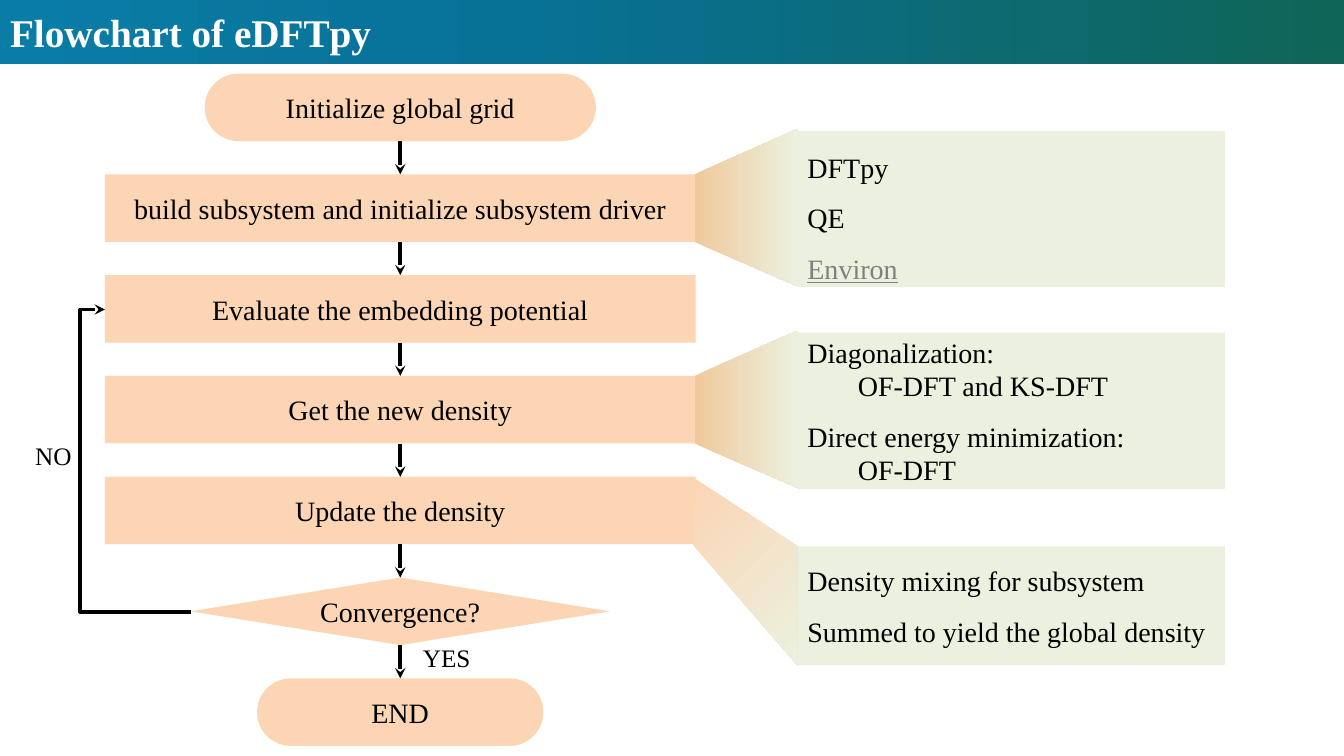
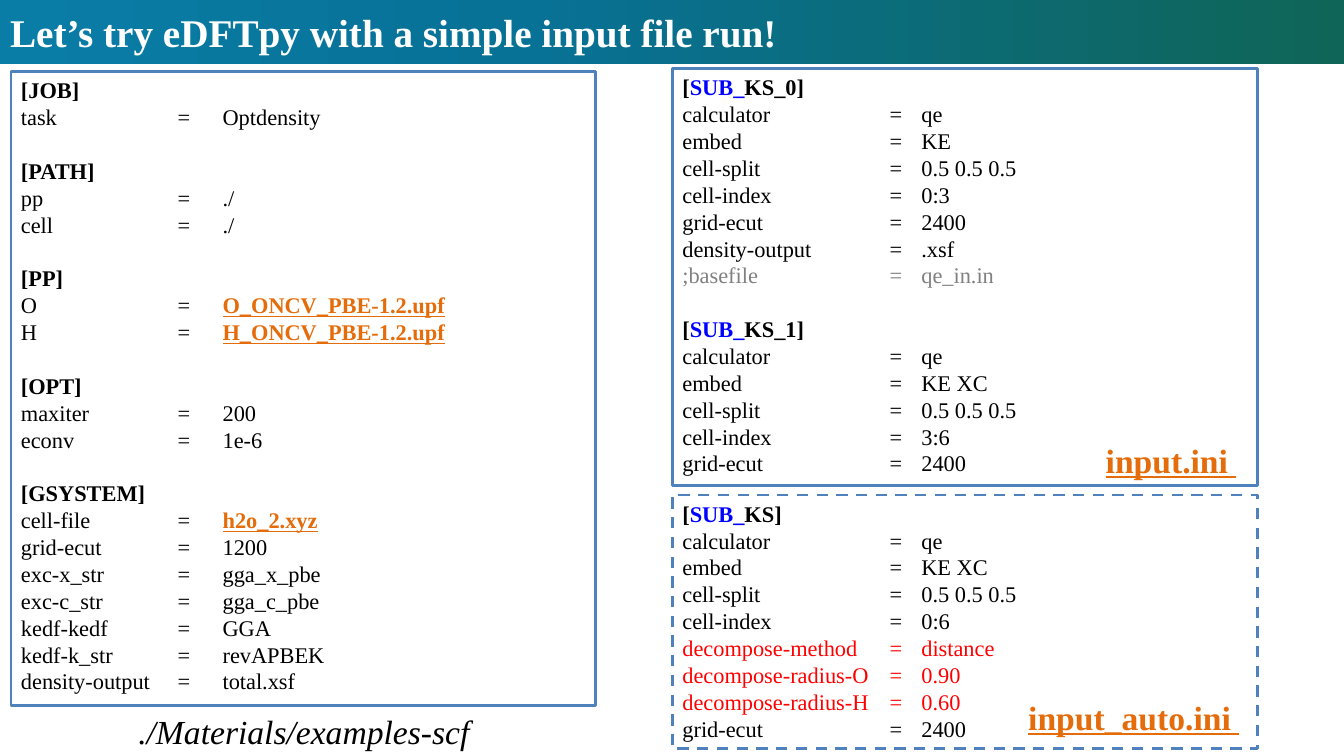
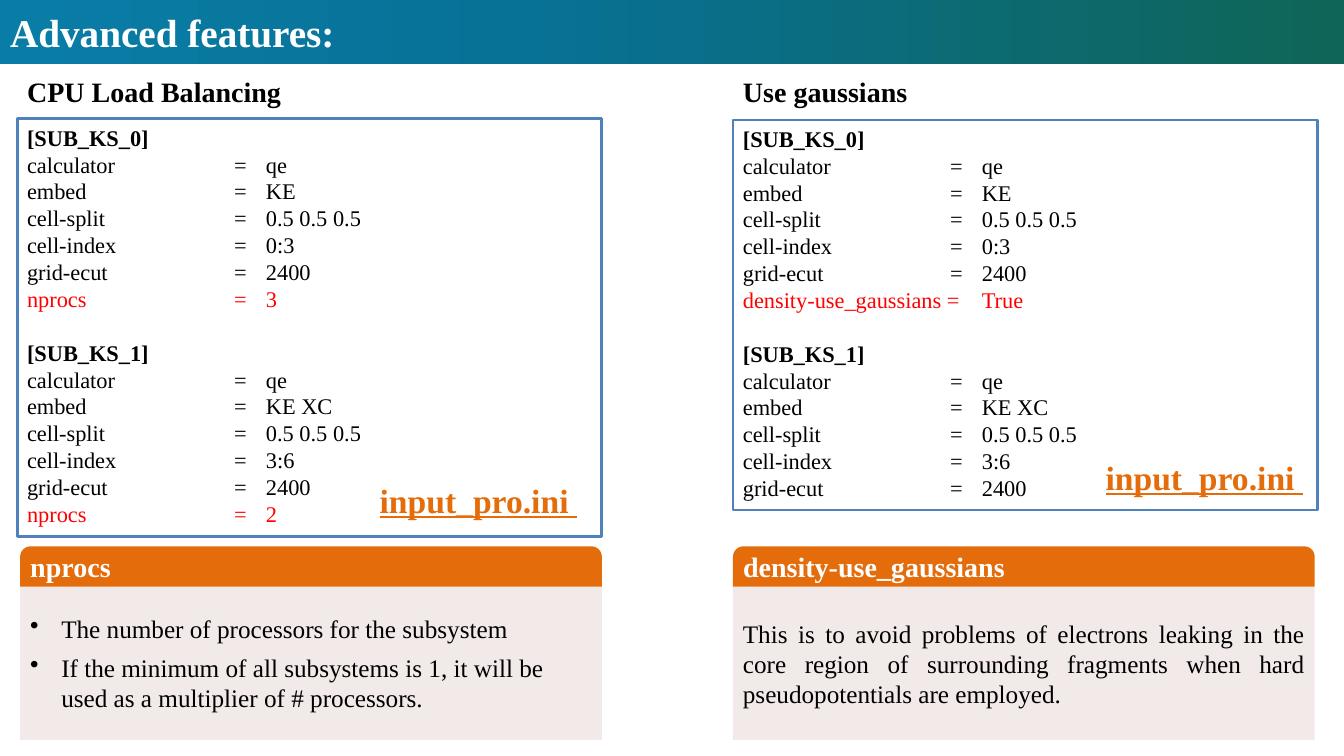
from dataclasses import dataclass

from lxml import etree
from pptx import Presentation
from pptx import util as u
from pptx.dml.color import RGBColor
from pptx.enum import dml, shapes, text
from pptx.oxml.ns import qn

PX = 9144
KIND = shapes.MSO_SHAPE
LEFT, MID, JUST = text.PP_ALIGN.LEFT, text.PP_ALIGN.CENTER, text.PP_ALIGN.JUSTIFY


@dataclass(frozen=True)
class Theme:
    font: str = "Times New Roman"
    band: tuple = ((0, "0A7DA6"), (39, "087196"), (100, "0F6557"))
    fan: tuple = ((0, "F0C99C"), (100, "EBF1DE"))
    slant: tuple = ((0, "FCD5B5"), (100, "EBF1DE"))
    step: str = "FCD5B5"
    note: str = "EBF1DE"
    card: str = "F2E9E9"
    frame: str = "4F81BD"
    accent: str = "E46C0A"
    ink: str = "000000"
    paper: str = "FFFFFF"
    gray: str = "808080"
    red: str = "FF0000"
    blue: str = "0000FF"
    title: int = 28
    name: int = 24
    head: int = 20
    body: int = 18
    mono: int = 16
    pitch: float = 19.2


def px(*nums):
    return [u.Emu(n * PX) for n in nums]


def add(node, tag, **attrs):
    return etree.SubElement(node, qn(tag), {k: str(v) for k, v in attrs.items()})


class Deck:
    def __init__(self, theme):
        self.t = theme
        self.prs = Presentation()
        self.prs.slide_width, self.prs.slide_height = px(1333, 750)
        self.base = self.prs.slide_layouts[5]
        self.banded = False

    def start(self, title):
        self.slide = self.prs.slides.add_slide(self.base)
        self.pool = self.slide.shapes
        if not self.banded:
            band = self.shape(KIND.RECTANGLE, (0, 0, 1333, 64))
            self.blend(band, self.t.band, 0)
            self.base.shapes._spTree.insert(2, band._element)
            self.banded = True
        box = self.pool.title
        box.left, box.top, box.width, box.height = px(0, 0, 1333, 64)
        box.text_frame.auto_size = text.MSO_AUTO_SIZE.NONE
        self.put(box, [title], self.t.title, self.t.paper, bold=True)

    def style(self, run, size, color, bold=False, line=False, slant=False):
        font = run.font
        font.name, font.size = self.t.font, u.Pt(size)
        font.bold, font.underline, font.italic = bold, line, slant
        font.color.rgb = RGBColor.from_string(color)

    def put(self, box, rows, size, color, align=LEFT,
            anchor=text.MSO_ANCHOR.MIDDLE, **look):
        frame = box.text_frame
        frame.word_wrap, frame.vertical_anchor = True, anchor
        frame.text = "\n".join(rows)
        for para in frame.paragraphs:
            para.alignment = align
            for run in para.runs:
                self.style(run, size, color, **look)
        return frame.paragraphs

    def paint(self, shape, fill):
        shape.shadow.inherit = False
        shape.line.fill.background()
        shape.fill.solid()
        shape.fill.fore_color.rgb = RGBColor.from_string(fill)
        return shape

    def blend(self, shape, stops, angle):
        shape.fill.gradient()
        grad = shape._element.spPr.find(qn("a:gradFill"))
        chain = grad.find(qn("a:gsLst"))
        for old in list(chain):
            chain.remove(old)
        for spot, color in stops:
            add(add(chain, "a:gs", pos=spot * 1000), "a:srgbClr", val=color)
        grad.find(qn("a:lin")).set("ang", str(angle * 60000))

    def shape(self, kind, area, fill=Theme.paper):
        return self.paint(self.pool.add_shape(kind, *px(*area)), fill)

    def label(self, area, words, size, color=Theme.ink, align=MID, **look):
        box = self.pool.add_textbox(*px(*area))
        return self.put(box, [words], size, color, align, **look)

    def step(self, words, top, width, kind):
        box = self.shape(kind, (397 - width // 2, top, width, 67), self.t.step)
        if kind == KIND.ROUNDED_RECTANGLE:
            box.adjustments[0] = 0.5
        self.put(box, [words], self.t.head, self.t.ink, MID)
        return box

    def arrow(self, kind, ends):
        link = self.pool.add_connector(kind, *px(*ends))
        link.line.width = u.Pt(2.5)
        link.line.color.rgb = RGBColor.from_string(self.t.ink)
        add(link.line._ln, "a:tailEnd", type="stealth")
        add(link._element.spPr, "a:effectLst")
        return link

    def join(self, first, last):
        link = self.arrow(shapes.MSO_CONNECTOR.STRAIGHT, (0, 0, 0, 0))
        link.begin_connect(first, 2)
        link.end_connect(last, 0)

    def loop(self, ends, bend):
        link = self.arrow(shapes.MSO_CONNECTOR.ELBOW, ends)
        props = link._element.spPr
        props.find(qn("a:xfrm")).set("rot", str(180 * 60000))
        guides = props.find(qn("a:prstGeom")).find(qn("a:avLst"))
        add(guides, "a:gd", name="adj1", fmla=f"val {bend * 1000}")

    def fan(self, points, stops, angle):
        edge = self.pool.build_freeform(*points[0], scale=PX)
        edge.add_line_segments(points[1:], close=True)
        self.blend(self.paint(edge.convert_to_shape(), self.t.note), stops, angle)

    def note(self, top, height, rows):
        box = self.shape(KIND.RECTANGLE, (791, top, 424, height), self.t.note)
        return self.put(box, rows, self.t.head, self.t.ink)

    def block(self, area, rows, tabs, tint=False, dash=False):
        t = self.t
        box = self.shape(KIND.RECTANGLE, area)
        box.line.color.rgb = RGBColor.from_string(t.frame)
        box.line.width = u.Pt(2)
        if dash:
            box.line.dash_style = dml.MSO_LINE.DASH
        plain = [r.lstrip("!") if "\t" in r else
                 r.lstrip("!").replace(" = ", "\t = \t") for r in rows]
        paras = self.put(box, [r.replace("*", "") for r in plain], t.mono,
                         t.ink, anchor=text.MSO_ANCHOR.TOP)
        for spot, (para, row, line) in enumerate(zip(paras, rows, plain)):
            stops = add(para._p.get_or_add_pPr(), "a:tabLst")
            for tab in tabs:
                add(stops, "a:tab", pos=tab * PX, algn="l")
            para.line_spacing = u.Pt(t.pitch)
            head = row.startswith("[")
            if head and spot:
                para.space_before = u.Pt(t.pitch)
            color = {"!": t.red, ";": t.gray}.get(row[0], t.ink)
            pieces = [(line, color, head, False)]
            if head and tint:
                pieces = [("[", t.ink, True, False), ("SUB_", t.blue, True, False),
                          (line[5:], t.ink, True, False)]
            elif "*" in line:
                lead, name = line.split("*")
                pieces = [(lead, t.ink, False, False), (name, t.accent, True, True)]
            para.text = pieces[0][0]
            for more in pieces[1:]:
                para.add_run().text = more[0]
            for run, (_, *look) in zip(para.runs, pieces):
                self.style(run, t.mono, *look)

    def tag(self, area, name):
        self.label(area, name + " ", self.t.name, self.t.accent, bold=True, line=True)

    def card(self, left, head, rows, align=LEFT, dots=False):
        t = self.t
        box = self.shape(KIND.RECTANGLE, (left, 582, 577, 152), t.card)
        paras = self.put(box, rows, t.body, t.ink, align)
        for spot, para in enumerate(paras):
            if dots:
                props = para._p.get_or_add_pPr()
                props.set("marL", str(31 * PX))
                props.set("indent", str(-31 * PX))
                add(props, "a:buChar", char="•")
            if spot:
                para.space_before = u.Pt(6)
        top = self.shape(KIND.ROUND_2_SAME_RECTANGLE, (left, 542, 577, 40), t.accent)
        top.adjustments[0] = 0.26
        self.put(top, [head], t.head, t.paper, bold=True)
        top.text_frame.margin_left, top.text_frame.margin_top = px(7, 2)


def sub(name, embed, index, *rest):
    return [f"[{name}]", "calculator = qe", f"embed = {embed}",
            "cell-split = 0.5 0.5 0.5", f"cell-index = {index}", *rest]


GRID = "grid-ecut = 2400"
WIDE, SLIM = (200, 237), (150, 200)


def flow(deck):
    t = deck.t
    deck.start("Flowchart of eDFTpy")
    pill, rect = KIND.ROUNDED_RECTANGLE, KIND.RECTANGLE
    plan = [("Initialize global grid", 388, pill),
            ("build subsystem and initialize subsystem driver", 586, rect),
            ("Evaluate the embedding potential", 586, rect),
            ("Get the new density", 586, rect),
            ("Update the density", 586, rect),
            ("Convergence?", 416, KIND.FLOWCHART_DECISION),
            ("END", 284, pill)]
    steps = [deck.step(words, 73 + 100 * i, width, kind)
             for i, (words, width, kind) in enumerate(plan)]
    for first, last in zip(steps, steps[1:]):
        deck.join(first, last)
    deck.label((384, 631, 118, 42), "YES", t.body)
    deck.label((0, 431, 106, 42), "NO", t.body)
    deck.loop((104, 307, 189, 607), 129)

    for top in (128, 328):
        deck.fan([(791, top), (791, top + 156), (689, top + 112), (689, top + 45)],
                 t.fan, 0)
    tools = deck.note(130, 155, ["DFTpy", "QE", "Environ"])
    for para in tools:
        para.line_spacing = 1.5
    deck.style(tools[2].runs[0], t.head, t.gray, line=True)
    ways = deck.note(330, 155, ["Diagonalization:", "OF-DFT and KS-DFT",
                                "Direct energy minimization:", "OF-DFT"])
    for para in ways[1::2]:
        para.level = 1
        props = para._p.get_or_add_pPr()
        props.set("marL", str(50 * PX))
        props.set("indent", "0")
    sums = deck.note(542, 118, ["Density mixing for subsystem",
                                "Summed to yield the global density"])
    for para in (ways[2], sums[1]):
        para.space_before = u.Pt(12)
    deck.fan([(688, 474), (791, 542), (791, 660), (688, 541)], t.slant, 45)


def trial(deck):
    deck.start("Let’s try eDFTpy with a simple input file run!")
    deck.block((11, 71, 580, 629), [
        "[JOB]", "task = Optdensity",
        "[PATH]", "pp = ./", "cell = ./",
        "[PP]", "O = *O_ONCV_PBE-1.2.upf", "H = *H_ONCV_PBE-1.2.upf",
        "[OPT]", "maxiter = 200", "econv = 1e-6",
        "[GSYSTEM]", "cell-file = *h2o_2.xyz", "grid-ecut = 1200",
        "exc-x_str = gga_x_pbe", "exc-c_str = gga_c_pbe", "kedf-kedf = GGA",
        "kedf-k_str = revAPBEK", "density-output = total.xsf"], SLIM)
    deck.block((667, 68, 580, 414),
               sub("SUB_KS_0", "KE", "0:3", GRID, "density-output = .xsf",
                   ";basefile = qe_in.in")
               + sub("SUB_KS_1", "KE XC", "3:6", GRID), WIDE, tint=True)
    deck.tag((1086, 431, 151, 50), "input.ini")
    deck.block((667, 491, 580, 252),
               sub("SUB_KS", "KE XC", "0:6", "!decompose-method = distance",
                   "!decompose-radius-O = 0.90", "!decompose-radius-H = 0.60", GRID),
               WIDE, tint=True, dash=True)
    deck.tag((1003, 686, 243, 50), "input_auto.ini")
    deck.label((43, 700, 517, 50), "./Materials/examples-scf", deck.t.name, slant=True)


def extras(deck):
    deck.start("Advanced features:")
    sides = [
        (17, "CPU Load Balancing", 118, 414, ["!nprocs = 3"], ["!nprocs = 2"],
         (353, 471)),
        (727, "Use gaussians", 119, 387, ["!density-use_gaussians = \tTrue"], [],
         (1073, 448))]
    for left, head, top, height, one, two, spot in sides:
        deck.label((left, 69, 319, 44), head, deck.t.head, align=LEFT, bold=True)
        deck.block((left, top, 580, height),
                   sub("SUB_KS_0", "KE", "0:3", GRID, *one)
                   + sub("SUB_KS_1", "KE XC", "3:6", GRID, *two), WIDE)
        deck.tag((*spot, 243, 50), "input_pro.ini")
    deck.card(20, "nprocs", [
        "The number of processors for the subsystem",
        "If the minimum of all subsystems is 1, it will be used as a multiplier "
        "of # processors."], dots=True)
    deck.card(727, "density-use_gaussians", [
        "This is to avoid problems of electrons leaking in the core region of "
        "surrounding fragments when hard pseudopotentials are employed."], JUST)


def main():
    deck = Deck(Theme())
    flow(deck)
    trial(deck)
    extras(deck)
    deck.prs.save("out.pptx")


if __name__ == "__main__":
    main()
